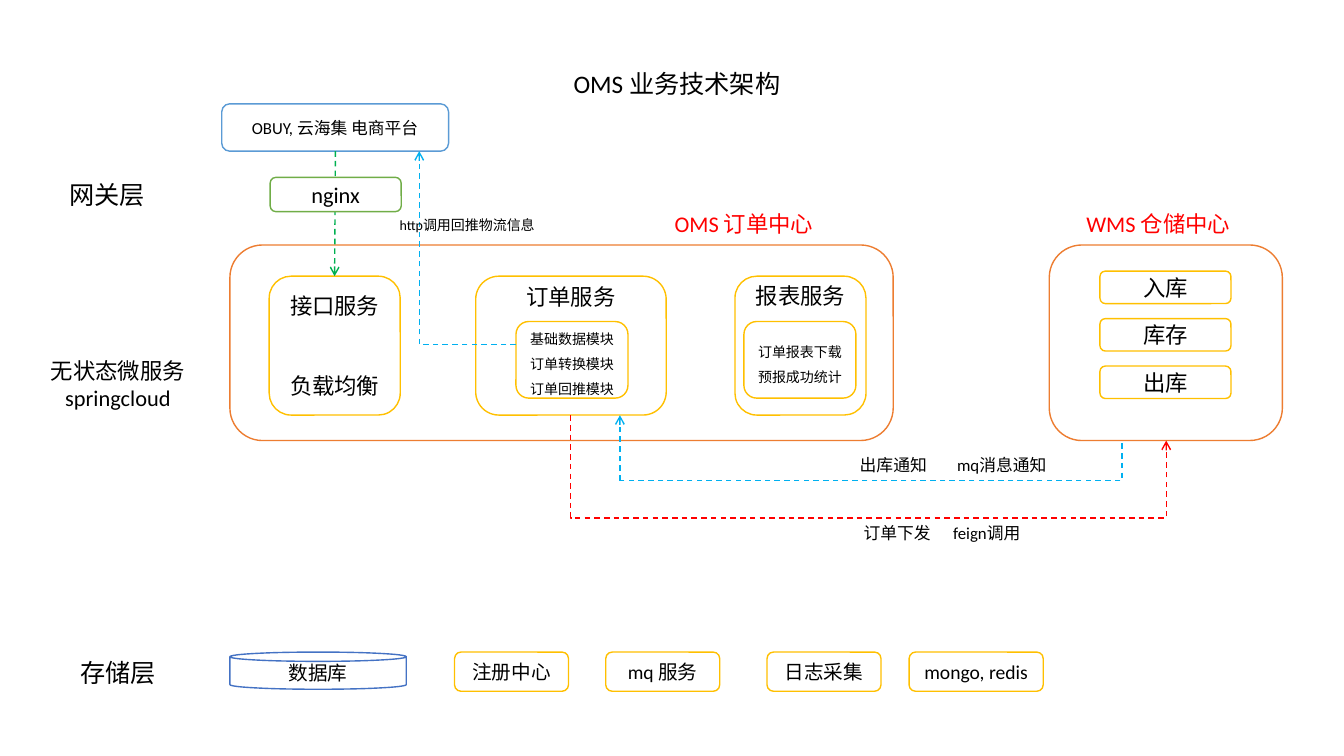
import pptx
import pptx.util
import pptx.dml.color
import pptx.enum.dml
import pptx.enum.shapes
import pptx.enum.text
import pptx.oxml
import pptx.oxml.ns

Pt = pptx.util.Pt
RGB = pptx.dml.color.RGBColor
SHAPE = pptx.enum.shapes.MSO_SHAPE
CONNECTOR = pptx.enum.shapes.MSO_CONNECTOR
ALIGN = pptx.enum.text.PP_ALIGN
ANCHOR = pptx.enum.text.MSO_ANCHOR
qn = pptx.oxml.ns.qn

BLACK = RGB(0x00, 0x00, 0x00)
WHITE = RGB(0xFF, 0xFF, 0xFF)
ORANGE = RGB(0xED, 0x7D, 0x31)
GOLD = RGB(0xFF, 0xC0, 0x00)
LIGHT_BLUE = RGB(0x5B, 0x9B, 0xD5)
BLUE = RGB(0x44, 0x72, 0xC4)
LEAF = RGB(0x70, 0xAD, 0x47)
GREEN = RGB(0x00, 0xB0, 0x50)
RED = RGB(0xFF, 0x00, 0x00)
SKY = RGB(0x00, 0xB0, 0xF0)


class Diagram:
    font = "Calibri"
    line_width = Pt(1)

    def __init__(self, slide):
        self.slide = slide

    def add_lines(self, frame, lines, size, color=BLACK, align=ALIGN.CENTER,
                  spacing=None, gap=0):
        frame.word_wrap = True
        for i, line in enumerate(lines):
            paragraph = frame.paragraphs[0] if i == 0 else frame.add_paragraph()
            paragraph.alignment = align
            if spacing:
                paragraph.line_spacing = spacing
            if gap and i:
                paragraph.space_before = Pt(gap)
            run = paragraph.add_run()
            run.text = line
            run.font.name = self.font
            run.font.size = Pt(size)
            run.font.color.rgb = color

    def title(self, x, y, w, h, text, size):
        title = self.slide.shapes.title
        title.left, title.top, title.width, title.height = map(Pt, (x, y, w, h))
        title.text_frame.vertical_anchor = ANCHOR.TOP
        title.text_frame.auto_size = pptx.enum.text.MSO_AUTO_SIZE.NONE
        self.add_lines(title.text_frame, [text], size, align=ALIGN.LEFT)

    def box(self, x, y, w, h, color, lines=(), size=16,
            kind=SHAPE.ROUNDED_RECTANGLE, top=False, **style):
        box = self.slide.shapes.add_shape(kind, Pt(x), Pt(y), Pt(w), Pt(h))
        box.shadow.inherit = False
        box.fill.solid()
        box.fill.fore_color.rgb = WHITE
        box.line.color.rgb = color
        box.line.width = self.line_width
        box.text_frame.vertical_anchor = ANCHOR.TOP if top else ANCHOR.MIDDLE
        if top:
            box.text_frame.margin_top = 0
        self.add_lines(box.text_frame, lines, size, **style)

    def label(self, x, y, w, h, lines, size, **style):
        label = self.slide.shapes.add_textbox(Pt(x), Pt(y), Pt(w), Pt(h))
        self.add_lines(label.text_frame, lines, size, **style)
        return label.text_frame

    def tabbed_label(self, x, y, w, h, text, size, tab):
        frame = self.label(x, y, w, h, [text], size, align=ALIGN.LEFT)
        properties = frame.paragraphs[0]._p.get_or_add_pPr()
        stops = properties.makeelement(qn("a:tabLst"), {})
        stops.append(stops.makeelement(
            qn("a:tab"), {"pos": str(int(Pt(tab))), "algn": "l"}))
        properties.append(stops)

    def connect(self, start, end, color, arrow=True, kind=CONNECTOR.STRAIGHT):
        link = self.slide.shapes.add_connector(
            kind, *(Pt(value) for value in (*start, *end)))
        link.line.color.rgb = color
        link.line.width = self.line_width
        link.line.dash_style = pptx.enum.dml.MSO_LINE.DASH
        properties = link._element.spPr
        if arrow:
            outline = properties.find(qn("a:ln"))
            outline.append(outline.makeelement(qn("a:tailEnd"), {"type": "arrow"}))
        properties.append(properties.makeelement(qn("a:effectLst"), {}))
        return properties

    def elbow(self, start, end, color, bend=0, turn=0, arrow=True):
        """Bend is a share of the run; turn is 90 (down first) or 270 (up)."""
        if turn:
            (x1, y1), (x2, y2) = start, end
            mid_x, mid_y = (x1 + x2) / 2, (y1 + y2) / 2
            half_w, half_h = abs(y2 - y1) / 2, abs(x2 - x1) / 2
            start = mid_x - half_w, mid_y + half_h
            end = mid_x + half_w, mid_y - half_h
        properties = self.connect(start, end, color, arrow, CONNECTOR.ELBOW)
        if turn:
            properties.find(qn("a:xfrm")).set("rot", str(turn * 60000))
        geometry = properties.find(qn("a:prstGeom"))
        guides = geometry.find(qn("a:avLst"))
        if guides is None:
            guides = geometry.makeelement(qn("a:avLst"), {})
            geometry.append(guides)
        guides.append(guides.makeelement(
            qn("a:gd"), {"name": "adj1", "fmla": f"val {round(bend * 100000)}"}))


deck = pptx.Presentation()
deck.slide_width, deck.slide_height = Pt(960), Pt(540)
diagram = Diagram(deck.slides.add_slide(deck.slide_layouts[5]))
diagram.title(402.5, 45.4, 185, 29, "OMS 业务技术架构", 18)

# Warehouse centre
diagram.box(749.5, 175, 166.5, 139.7, ORANGE)
for row, step in enumerate(("入库", "库存", "出库")):
    diagram.box(785.7, 193.7 + 33.9 * row, 93.6, 23.2, GOLD, [step])

# Order centre and its services
diagram.box(164.2, 175, 473.8, 139.7, ORANGE)
diagram.box(158.4, 74.2, 162, 33.8, LIGHT_BLUE, ["OBUY, 云海集 电商平台"], 12)
SERVICE_TOP, SERVICE_HEIGHT = 197.3, 99.2
diagram.box(192.3, SERVICE_TOP, 93.6, SERVICE_HEIGHT, GOLD,
            ["接口服务", "负载均衡"], gap=38)
services = (
    ("订单服务", 339.8, 136.1, 368.6,
     ["基础数据模块", "订单转换模块", "订单回推模块"]),
    ("报表服务", 525, 93.6, 531.4, ["订单报表下载", "预报成功统计"]),
)
for service, x, width, module_x, modules in services:
    diagram.box(x, SERVICE_TOP, width, SERVICE_HEIGHT, GOLD, [service], top=True)
    diagram.box(module_x, 229.7, 80, 54.7, GOLD, modules, 10, spacing=1.5)

# Calls between the parts
diagram.connect((239.6, 108), (239, 197.3), GREEN)
diagram.elbow((407.5, 296.6), (833, 314.7), RED, bend=4.05, turn=90)
diagram.elbow((801.4, 316.8), (442.8, 343.4), SKY, arrow=False)
diagram.connect((442.8, 343.4), (442.8, 296.6), SKY)
diagram.elbow((368.6, 246.2), (299.5, 108), SKY, turn=270)
diagram.tabbed_label(609.8, 370.1, 144, 21.6, "订单下发\tfeign调用", 12, 64)
diagram.tabbed_label(607, 321.1, 159, 21.6, "出库通知\tmq消息通知", 12, 69.5)
diagram.label(265.7, 151.2, 136, 19.4, ["http调用回推物流信息"], 10)

# Storage layer
STORAGE_TOP = 465.8
diagram.box(164.2, STORAGE_TOP, 126, 26.6, BLUE, ["数据库"], 14, kind=SHAPE.CAN)
for store, x, width in (("注册中心", 324.7, 81.4), ("mq 服务", 432.7, 81.4),
                        ("日志采集", 547.9, 81.4), ("mongo, redis", 649.4, 95.8)):
    diagram.box(x, STORAGE_TOP, width, 28, GOLD, [store], 14)

# Gateway
diagram.box(193, 126.7, 93.6, 24.5, LEAF, ["nginx"])

# Names of centres and layers
for centre, x in (("OMS 订单中心", 470.9), ("WMS 仓储中心", 766.8)):
    diagram.label(x, 146.5, 121, 26.6, [centre], 16, color=RED)
diagram.label(20.2, 124.6, 113, 28.8, ["网关层"], 18)
diagram.label(20.9, 251.3, 126.7, 46, ["无状态微服务", "springcloud"], 16)
diagram.label(20.9, STORAGE_TOP, 126.7, 28.8, ["存储层"], 18)

deck.save("out.pptx")
